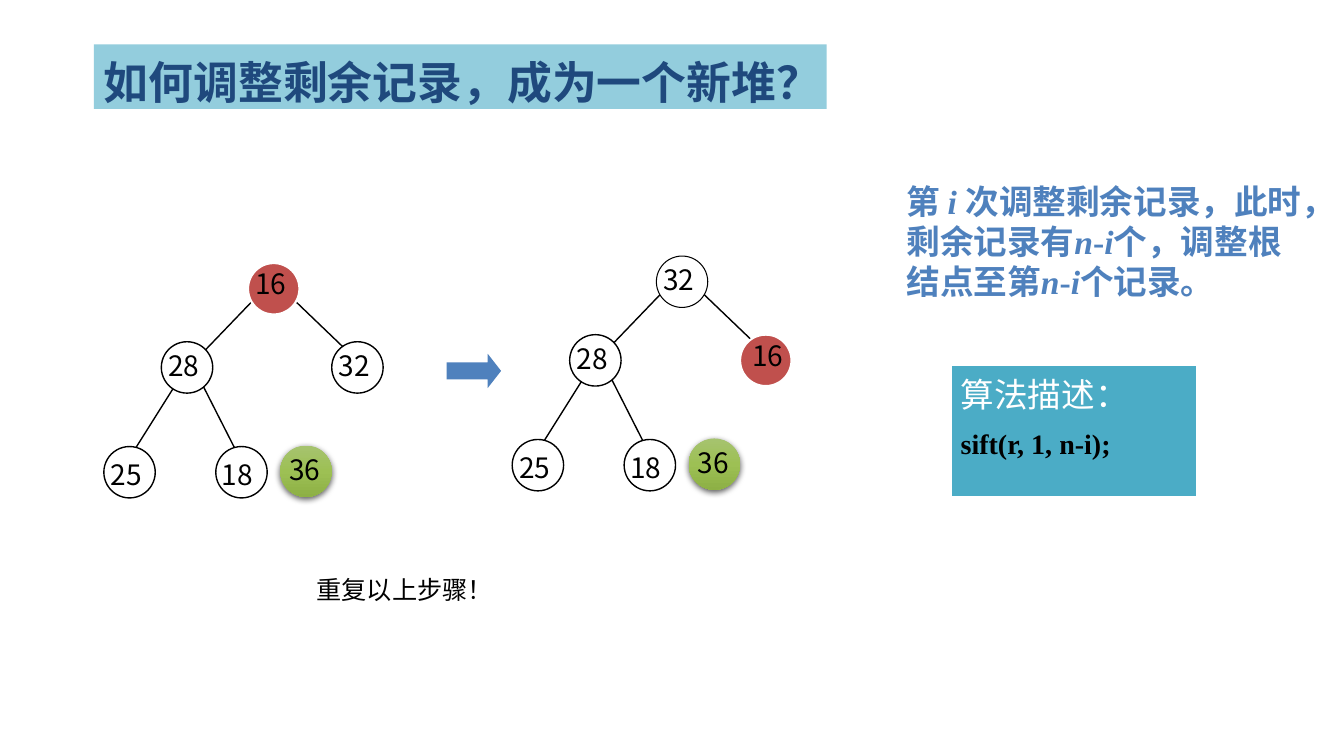
"""Build a slide on sifting the remaining records into a new heap."""
from copy import deepcopy
from dataclasses import dataclass

from lxml import etree
from pptx import Presentation
from pptx import util as u
from pptx.dml.color import RGBColor
from pptx.enum import shapes, text
from pptx.oxml.ns import qn


@dataclass(frozen=True)
class Theme:
    ink: str = "000000"
    paper: str = "FFFFFF"
    navy: str = "1F497D"
    sky: str = "93CDDD"
    blue: str = "4F81BD"
    teal: str = "4BACC6"
    red: str = "C0504D"
    greens: tuple[str, ...] = ("A6C36F", "9DC054", "8DB045")
    heading: float = 32
    large: float = 24
    medium: float = 20
    small: float = 18
    sans: str = "Noto Sans CJK SC"
    mono: str = "Courier New"
    serif: str = "Times New Roman"
    pitch: float = 1.19


@dataclass(frozen=True)
class Area:
    column: float
    row: float
    columns: float
    rows: float


@dataclass(frozen=True)
class Look:
    fill: str | None
    line: str | None = None
    weight: float = 1


@dataclass(frozen=True)
class Node:
    label: str
    slot: str
    look: Look
    nudge: tuple[float, float]


@dataclass(frozen=True)
class Tree:
    column: float
    row: float
    nodes: tuple[Node, ...]


THEME = Theme()
CELL = 0.1
NODE_SIZE = 5.1
PLAIN = Look(THEME.paper, THEME.ink)
THIN = Look(THEME.paper, THEME.ink, 0.75)
MOVING = Look(THEME.red, THEME.paper, 1.5)
REMOVED = Look(None)
SLOTS = {"root": (14.3, 0), "left": (5.7, 7.8), "right": (22.6, 7.8),
         "left leaf": (0, 18.2), "right leaf": (11.1, 18.2), "removed": (17.5, 18.1)}
EDGES = ((18.8, 3.6, 23.7, 8.3), (9.9, 12.3, 13.1, 18.6),
         (6.9, 12.4, 3.0, 18.6), (14.7, 3.8, 9.9, 8.8))
SETTLED = (Node("28", "left", PLAIN, (0.6, 0)),
           Node("25", "left leaf", PLAIN, (0.6, 0.4)),
           Node("18", "right leaf", PLAIN, (0.5, 0.4)),
           Node("36", "removed", REMOVED, (0.8, 0)))
TREES = (
    Tree(10.3, 26.1, (Node("16", "root", MOVING, (0.6, -0.3)),
                      Node("32", "right", PLAIN, (0.6, 0)), *SETTLED)),
    Tree(50.8, 25.4, (Node("32", "root", THIN, (0.6, 0)),
                      Node("16", "right", MOVING, (1.1, -0.3)), *SETTLED)),
)


def cells(count: float) -> u.Length:
    """Turn a count of grid cells into a length."""
    return u.Inches(count * CELL)


def bounds(area: Area) -> tuple[u.Length, ...]:
    """Give left, top, width and height of a grid area."""
    return tuple(map(cells, (area.column, area.row, area.columns, area.rows)))


def place(box, area: Area) -> None:
    """Move an existing box onto a grid area."""
    box.left, box.top, box.width, box.height = bounds(area)


def paint(shape, look: Look) -> None:
    """Give a shape a plain fill and outline without a shadow."""
    shape.shadow.inherit = False
    if look.fill:
        shape.fill.solid()
        shape.fill.fore_color.rgb = RGBColor.from_string(look.fill)
    if look.line:
        shape.line.color.rgb = RGBColor.from_string(look.line)
        shape.line.width = u.Pt(look.weight)
    else:
        shape.line.fill.background()


def paint_removed(shape) -> None:
    """Give a removed node its green gradient and soft shadow."""
    shape.fill.gradient()
    shape.fill.gradient_angle = 270
    stops = shape.element.spPr.find(qn("a:gradFill")).find(qn("a:gsLst"))
    stops.insert(1, deepcopy(stops[0]))
    for index, stop in enumerate(shape.fill.gradient_stops):
        stop.color.rgb = RGBColor.from_string(THEME.greens[index])
        stop.position = index / 2
    effects = shape.element.spPr.find(qn("a:effectLst"))
    shadow = etree.SubElement(effects, qn("a:outerShdw"), blurRad="57150", dist="19050",
                              dir="5400000", rotWithShape="0")
    color = etree.SubElement(shadow, qn("a:srgbClr"), val=THEME.ink)
    etree.SubElement(color, qn("a:alpha"), val="63000")


def set_frame(box, *, left: float = 1, top: float = 0.9, right: float = 1,
              bottom: float = 0.5, wrap: bool = True) -> None:
    """Set the margins and wrapping of a box's text."""
    frame = box.text_frame
    frame.auto_size = text.MSO_AUTO_SIZE.NONE
    frame.word_wrap = wrap
    frame.vertical_anchor = text.MSO_ANCHOR.TOP
    frame.margin_left, frame.margin_top = cells(left), cells(top)
    frame.margin_right, frame.margin_bottom = cells(right), cells(bottom)


def write(box, words: str, *, size: float, font: str, color: str = THEME.ink,
          bold: bool = False, before: float = 0):
    """Write one paragraph, with stars around its italic spans."""
    frame = box.text_frame
    para = frame.paragraphs[0] if not frame.text else frame.add_paragraph()
    para.alignment = text.PP_ALIGN.LEFT
    para.line_spacing = u.Pt(round(size * THEME.pitch, 1))
    para.space_before = u.Pt(before)
    for index, piece in enumerate(words.split("*")):
        span = para.add_run()
        span.text = piece
        span.font.name, span.font.size = font, u.Pt(size)
        span.font.bold, span.font.italic = bold, index % 2 == 1
        span.font.color.rgb = RGBColor.from_string(color)
        latin = span.font._element.find(qn("a:latin"))
        latin.addnext(etree.Element(qn("a:ea"), typeface=THEME.sans))
    return para


def draw_tree(page, tree: Tree) -> None:
    """Draw the edges, nodes and labels of one heap as a group."""
    group = page.shapes.add_group_shape().shapes
    for x1, y1, x2, y2 in EDGES:
        edge = group.add_connector(
            shapes.MSO_CONNECTOR.STRAIGHT, cells(tree.column + x1), cells(tree.row + y1),
            cells(tree.column + x2), cells(tree.row + y2))
        edge.line.color.rgb = RGBColor.from_string(THEME.ink)
        edge.line.width = u.Pt(1)
        etree.SubElement(edge.element.spPr, qn("a:effectLst"))
    for node in tree.nodes:
        column, row = tree.column + SLOTS[node.slot][0], tree.row + SLOTS[node.slot][1]
        circle = group.add_shape(shapes.MSO_SHAPE.OVAL,
                                 *bounds(Area(column, row, NODE_SIZE, NODE_SIZE)))
        paint(circle, node.look)
        if node.look is REMOVED:
            paint_removed(circle)
        label = group.add_textbox(
            *bounds(Area(column + node.nudge[0], row + node.nudge[1], 3.9, 5.6)))
        set_frame(label, left=0.1, top=0.7, right=0, bottom=0.1)
        write(label, node.label, size=THEME.medium, font=THEME.sans)


def main() -> None:
    """Build and save the slide."""
    deck = Presentation()
    deck.slide_width, deck.slide_height = u.Inches(13.33), u.Inches(7.5)
    page = deck.slides.add_slide(deck.slide_layouts[1])

    title, note = page.placeholders
    place(title, Area(9.3, 4.4, 72.7, 6.4))
    title.fill.solid()
    title.fill.fore_color.rgb = RGBColor.from_string(THEME.sky)
    set_frame(title, top=1.1)
    write(title, "如何调整剩余记录，成为一个新堆？", size=THEME.heading, font=THEME.mono,
          color=THEME.navy, bold=True)

    place(note, Area(88.9, 17.1, 41.3, 17.2))
    set_frame(note)
    para = write(note, "第 *i *次调整剩余记录，此时，剩余记录有*n*-*i*个，调整根结点至第*n*-*i*个记录。",
                 size=THEME.large, font=THEME.serif, color=THEME.blue, bold=True)
    settings = para._p.get_or_add_pPr()
    settings.set("marL", "0")
    settings.set("indent", "0")
    etree.SubElement(settings, qn("a:buNone"))

    for tree in TREES:
        draw_tree(page, tree)

    arrow = page.shapes.add_shape(shapes.MSO_SHAPE.RIGHT_ARROW,
                                  *bounds(Area(44.3, 35.1, 5.4, 3.4)))
    arrow.adjustments[1] = 0.39
    paint(arrow, Look(THEME.blue))

    algorithm = page.shapes.add_shape(shapes.MSO_SHAPE.RECTANGLE,
                                      *bounds(Area(94.3, 36.2, 24.4, 13.1)))
    paint(algorithm, Look(THEME.teal, THEME.paper, 1.5))
    set_frame(algorithm)
    write(algorithm, "算法描述：", size=THEME.large, font=THEME.mono, color=THEME.paper)
    write(algorithm, "sift(r, 1, n-i);", size=THEME.medium, font=THEME.serif, bold=True, before=9)

    repeat = page.shapes.add_textbox(*bounds(Area(30.4, 56.1, 46.1, 4)))
    set_frame(repeat)
    write(repeat, "重复以上步骤！", size=THEME.small, font=THEME.mono)
    deck.save("out.pptx")


if __name__ == "__main__":
    main()
